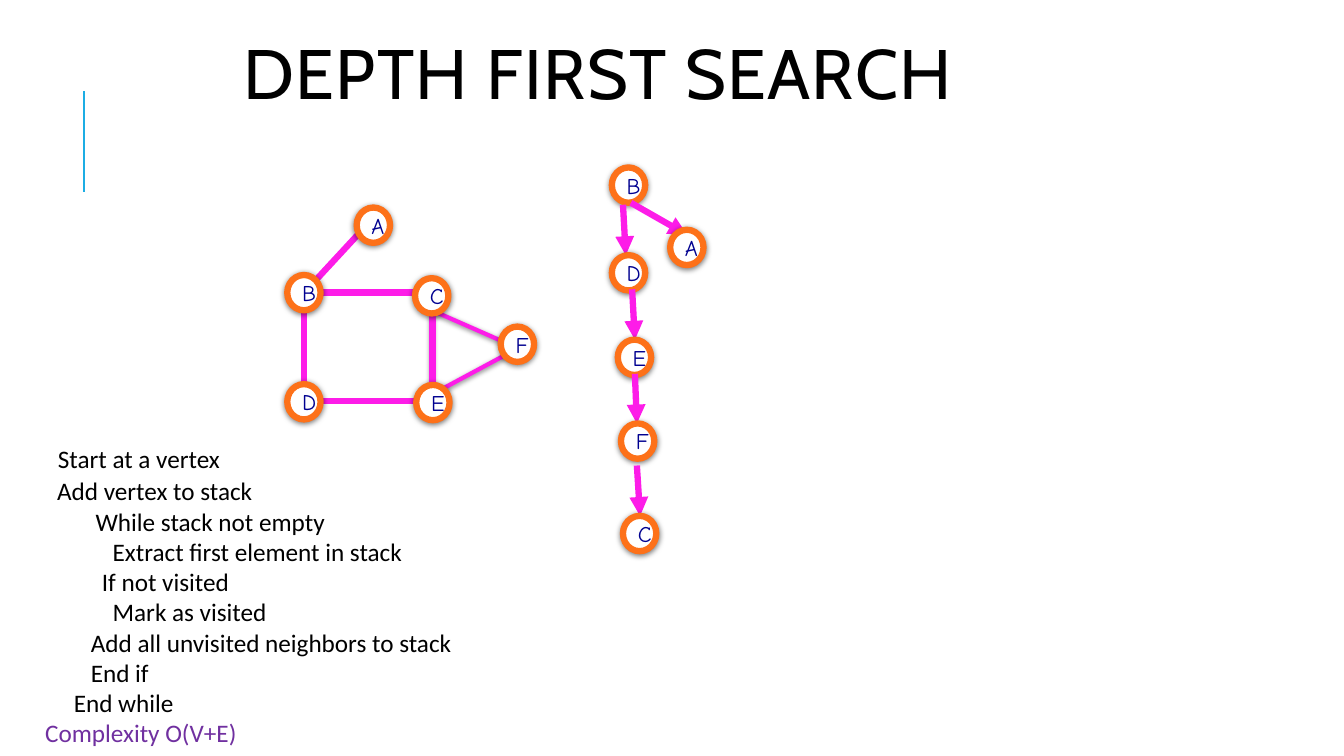
from dataclasses import dataclass

import lxml.etree
import pptx
import pptx.dml.color
import pptx.enum.shapes
import pptx.enum.text
import pptx.oxml
import pptx.oxml.ns
import pptx.util

Cm, Pt = pptx.util.Cm, pptx.util.Pt
RGB = pptx.dml.color.RGBColor
SHAPE = pptx.enum.shapes.MSO_SHAPE
ALIGN = pptx.enum.text.PP_ALIGN
ANCHOR = pptx.enum.text.MSO_ANCHOR
qn = pptx.oxml.ns.qn


@dataclass(frozen=True)
class Theme:
    black: RGB = RGB(0, 0, 0)
    white: RGB = RGB(0xFF, 0xFF, 0xFF)
    accent: RGB = RGB(0x1C, 0xAD, 0xE4)
    edge: RGB = RGB(0xFD, 0x1C, 0xE8)
    ring: RGB = RGB(0xFD, 0x71, 0x19)
    letter: RGB = RGB(0, 0, 0x90)
    purple: RGB = RGB(0x70, 0x30, 0xA0)
    title_font: str = "Cabin"
    body_font: str = "Calibri"
    node_font: str = "Comic Neue"
    title_size: float = 50
    body_size: float = 18
    node_size: float = 16
    heavy: float = 4.5
    medium: float = 3
    thin: float = 1.5


@dataclass(frozen=True)
class Node:
    label: str
    x: float
    y: float


@dataclass(frozen=True)
class Line:
    x1: float
    y1: float
    x2: float
    y2: float


@dataclass(frozen=True)
class Step:
    text: str
    indent: float
    color: RGB


T = Theme()
NODE_W, NODE_H = 0.84, 0.89
SHADOW = (
    '<a:outerShdw xmlns:a="http://schemas.openxmlformats.org/drawingml/2006/main" '
    'blurRad="50800" dist="12700" dir="5400000" rotWithShape="0">'
    '<a:srgbClr val="000000"><a:alpha val="50000"/></a:srgbClr></a:outerShdw>'
)
GRAPH = [
    Node("C", 10.46, 7.01),
    Node("B", 7.24, 6.93),
    Node("D", 7.24, 9.68),
    Node("E", 10.49, 9.7),
    Node("F", 12.62, 8.23),
    Node("A", 8.99, 5.23),
]
ROOT = Node("B", 15.42, 4.22)
BRANCHES = [
    (Line(15.7, 5.16, 15.77, 6.43), Node("D", 15.42, 6.43)),
    (Line(15.93, 7.29, 16, 8.56), Node("E", 15.57, 8.56)),
    (Line(16, 9.42, 16.05, 10.67), Node("F", 15.65, 10.67)),
    (Line(16.05, 11.73, 16.13, 13), Node("C", 15.7, 13)),
    (Line(15.9, 5.11, 17.32, 5.92), Node("A", 16.89, 5.79)),
]
STEPS = [
    Step("Start at a vertex", 0.32, T.black),
    Step("Add vertex to stack", 0.3, T.black),
    Step("While stack not empty", 1.27, T.black),
    Step("Extract first element in stack", 1.7, T.black),
    Step("If not visited", 1.43, T.black),
    Step("Mark as visited", 1.7, T.black),
    Step("Add all unvisited neighbors to stack", 1.15, T.black),
    Step("End if", 1.15, T.black),
    Step("End while", 0.72, T.black),
    Step("Complexity O(V+E)", 0, T.purple),
]


def style_run(p, font: str, size: float, color: RGB):
    """Format the only run of a paragraph and return it."""
    r = p.runs[0]
    r.font.name, r.font.size = font, Pt(size)
    r.font.color.rgb = color
    return r


def add_line(s, line: Line, color: RGB, width: float, arrow: bool = False) -> None:
    """Draw a straight line, with an arrowhead at its end if asked."""
    c = s.shapes.add_connector(
        pptx.enum.shapes.MSO_CONNECTOR.STRAIGHT,
        Cm(line.x1), Cm(line.y1), Cm(line.x2), Cm(line.y2),
    )
    c.line.color.rgb, c.line.width = color, Pt(width)
    if arrow:
        head = lxml.etree.SubElement(c.line._get_or_add_ln(), qn("a:tailEnd"))
        head.set("type", "triangle")
    lxml.etree.SubElement(c._element.spPr, qn("a:effectLst"))


def add_outline(s, kind, x: float, y: float, w: float, h: float,
                color: RGB, width: float, shadow: bool = False):
    """Draw an unfilled preset shape, with a soft shadow if asked."""
    sp = s.shapes.add_shape(kind, Cm(x), Cm(y), Cm(w), Cm(h))
    sp.fill.background()
    sp.line.color.rgb, sp.line.width = color, Pt(width)
    sp.shadow.inherit = False
    if shadow:
        effects = sp._element.spPr.find(qn("a:effectLst"))
        effects.append(pptx.oxml.parse_xml(SHADOW))
    return sp


def add_node(s, node: Node) -> None:
    """Draw a lettered vertex."""
    sp = add_outline(s, SHAPE.OVAL, node.x, node.y, NODE_W, NODE_H,
                     T.ring, T.heavy, shadow=True)
    sp.fill.solid()
    sp.fill.fore_color.rgb = T.white
    tf = sp.text_frame
    tf.text = node.label
    tf.vertical_anchor = ANCHOR.MIDDLE
    tf.paragraphs[0].alignment = ALIGN.CENTER
    style_run(tf.paragraphs[0], T.node_font, T.node_size, T.letter)


def add_title(s, text: str) -> None:
    """Write the slide heading."""
    tf = s.shapes.add_textbox(Cm(5.33), Cm(0.41), Cm(19.51), Cm(3.18)).text_frame
    tf.word_wrap = True
    tf.vertical_anchor = ANCHOR.MIDDLE
    tf.text = text
    p = tf.paragraphs[0]
    p.alignment, p.line_spacing = ALIGN.CENTER, 0.8
    r = style_run(p, T.title_font, T.title_size, T.black)
    r.font._element.set("spc", "100")


def add_graph(s) -> None:
    """Draw the undirected graph."""
    add_line(s, Line(7.67, 7.37, 9.04, 5.89), T.edge, T.heavy)
    sp = add_outline(s, SHAPE.ISOSCELES_TRIANGLE, 10.92, 7.8, 2.11, 2.16,
                     T.edge, T.medium, shadow=True)
    sp.rotation = 90
    sp.adjustments[0] = 0.45
    add_outline(s, SHAPE.RECTANGLE, 7.67, 7.37, 3.23, 2.74, T.edge, T.heavy)
    for node in GRAPH:
        add_node(s, node)


def add_tree(s) -> None:
    """Draw the search tree from its root."""
    add_node(s, ROOT)
    for line, node in BRANCHES:
        add_line(s, line, T.edge, T.heavy, arrow=True)
        add_node(s, node)


def add_steps(s) -> None:
    """Write the indented pseudocode."""
    tf = s.shapes.add_textbox(Cm(0.89), Cm(11.05), Cm(15.72), Cm(7.9)).text_frame
    tf.word_wrap = True
    for i, step in enumerate(STEPS):
        p = tf.add_paragraph() if i else tf.paragraphs[0]
        p.text = step.text
        p.line_spacing = Pt(21.6)
        p._p.get_or_add_pPr().set("marL", str(Cm(step.indent)))
        style_run(p, T.body_font, T.body_size, step.color)
    tf.paragraphs[1].space_before = Pt(1.5)


def main() -> None:
    """Build and save the slide."""
    prs = pptx.Presentation()
    prs.slide_width, prs.slide_height = Cm(33.87), Cm(19.05)
    s = prs.slides.add_slide(prs.slide_layouts[6])
    add_line(s, Line(2.11, 4.83, 2.11, 2.29), T.accent, T.thin)
    add_title(s, "DEPTH FIRST SEARCH")
    add_graph(s)
    add_tree(s)
    add_steps(s)
    prs.save("out.pptx")


if __name__ == "__main__":
    main()
